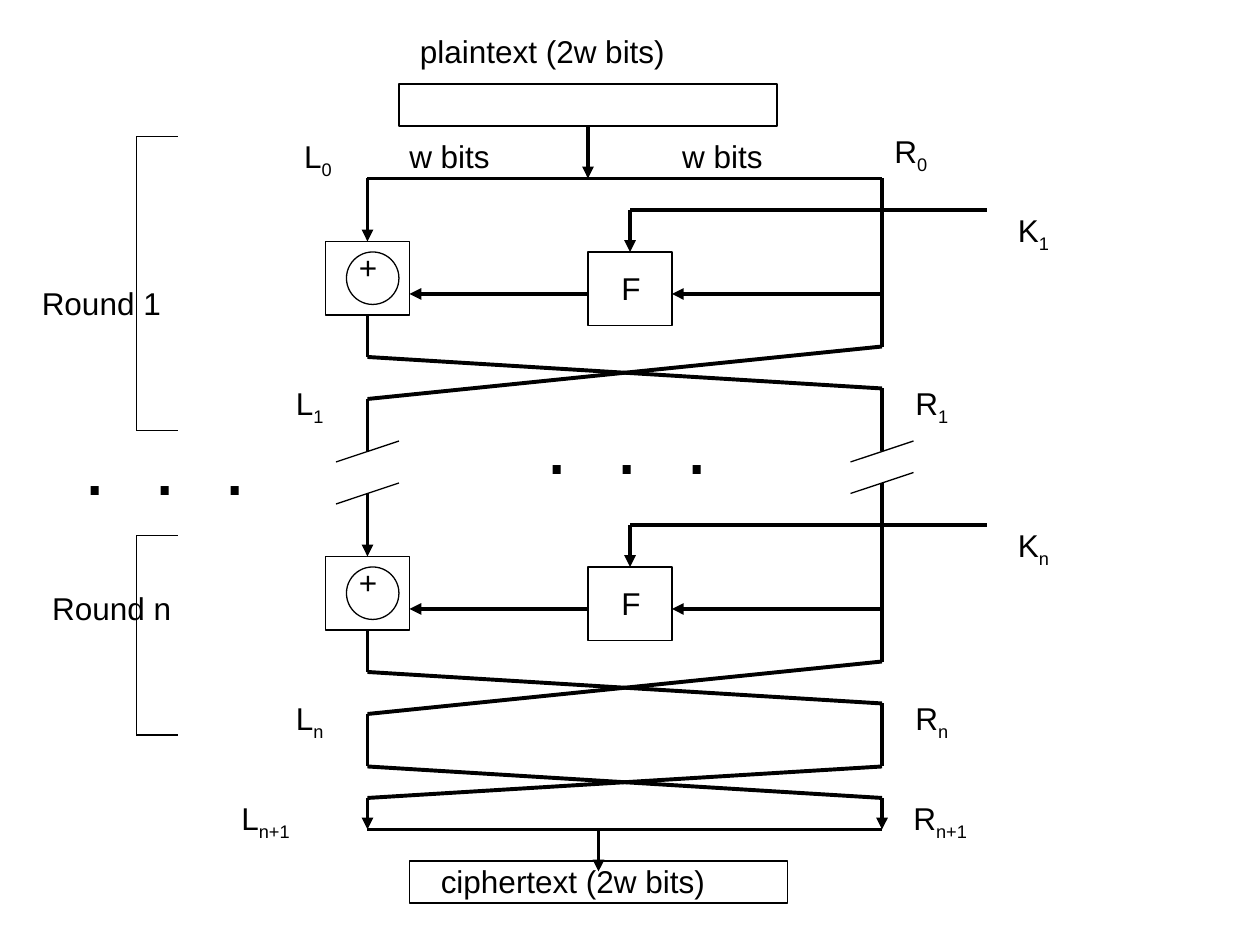
from typing import NamedTuple

from lxml import etree
from pptx import Presentation
from pptx import util as u
from pptx.dml.color import RGBColor
from pptx.enum import shapes, text
from pptx.oxml.ns import qn

CELL = 1 / 12            # grid: 120 columns by 90 rows
LEFT, RIGHT = 35, 84     # columns of the L and R halves
ROUND_STEP = 30          # rows from round 1 to round n
THIN, THICK = 0.75, 2.25
INK = "000000"


class Box(NamedTuple):
    col: float
    row: float
    cols: float
    rows: float
    kind: shapes.MSO_SHAPE = shapes.MSO_SHAPE.RECTANGLE


class Line(NamedTuple):
    x1: float
    y1: float
    x2: float
    y2: float
    arrow: bool = False
    width: float = THICK


class Label(NamedTuple):
    col: float
    row: float
    cols: float
    words: str
    sub: str = ""
    size: float = 18
    rows: float = 6


def cells(n: float) -> u.Emu:
    return u.Inches(n * CELL)


def color(hex_code: str) -> RGBColor:
    return RGBColor.from_string(hex_code)


def draw_box(s, b: Box) -> None:
    sp = s.shapes.add_shape(b.kind, *map(cells, b[:4]))
    sp.shadow.inherit = False
    sp.fill.background()
    sp.line.color.rgb = color(INK)
    sp.line.width = u.Pt(THIN)


def draw_line(s, ln: Line) -> None:
    cx = s.shapes.add_connector(shapes.MSO_CONNECTOR.STRAIGHT, *map(cells, ln[:4]))
    cx.line.color.rgb = color(INK)
    cx.line.width = u.Pt(ln.width)
    if ln.arrow:
        etree.SubElement(cx.line._get_or_add_ln(), qn("a:tailEnd"), type="triangle")
    etree.SubElement(cx._element.spPr, qn("a:effectLst"))


def draw_label(s, lb: Label) -> None:
    sp = s.shapes.add_textbox(*map(cells, (lb.col, lb.row, lb.cols, lb.rows)))
    tf = sp.text_frame
    tf.word_wrap = True
    tf.auto_size = text.MSO_AUTO_SIZE.NONE
    p = tf.paragraphs[0]
    p.font.name, p.font.size = "Arial", u.Pt(lb.size)
    p.font.color.rgb = color(INK)
    p.add_run().text = lb.words
    if lb.sub:
        r = p.add_run()
        r.text = lb.sub
        r.font._element.set("baseline", "-25000")


def draw_round(s, top: float, sub: str) -> None:
    """One Feistel round; top is the row where its left arrow starts."""
    draw_box(s, Box(31, top + 6, 8, 7))
    draw_box(s, Box(33, top + 7, 5, 5, shapes.MSO_SHAPE.OVAL))
    draw_box(s, Box(56, top + 7, 8, 7))
    for ln in (
        Line(LEFT, top, LEFT, top + 6, True),
        Line(RIGHT, top + 11, 64, top + 11, True),
        Line(56, top + 11, 39, top + 11, True),
        Line(LEFT, top + 13, LEFT, top + 17),
        # round key
        Line(60, top + 3, 60, top + 7, True),
        Line(60, top + 3, 94, top + 3),
        # swap of the halves
        Line(LEFT, top + 17, RIGHT, top + 20),
        Line(LEFT, top + 21, RIGHT, top + 16),
        Line(LEFT, top + 21, LEFT, top + 26),
        Line(RIGHT, top + 20, RIGHT, top + 26),
    ):
        draw_line(s, ln)
    for lb in (
        Label(58, top + 8, 4, "F"),
        Label(33, top + 6, 4.8, "+"),
        Label(95.75, top + 2.5, 6.6, "K", sub),
        Label(27, top + 19, 6.2, "L", sub),
        Label(86, top + 19, 6.8, "R", sub),
    ):
        draw_label(s, lb)


def draw_bracket(s, top: float, bottom: float) -> None:
    draw_line(s, Line(13, top, 13, bottom, width=THIN))
    for row in (top, bottom):
        draw_line(s, Line(13, row, 17, row, width=THIN))


def main() -> None:
    prs = Presentation()
    prs.slide_width, prs.slide_height = cells(120), cells(90)
    s = prs.slides.add_slide(prs.slide_layouts[6])

    # Plaintext and ciphertext blocks
    draw_box(s, Box(38, 8, 36, 4))
    draw_box(s, Box(39, 82, 36, 4))

    # Rounds and their brackets
    for i, sub in enumerate("1n"):
        draw_round(s, 17 + i * ROUND_STEP, sub)
    draw_bracket(s, 13, 41)
    draw_bracket(s, 51, 70)

    # Split, right trunk, last swap and join
    for ln in (
        Line(56, 12, 56, 17, True),
        Line(LEFT, 17, RIGHT, 17),
        Line(RIGHT, 17, RIGHT, 33),
        Line(RIGHT, 46, RIGHT, 63),
        Line(LEFT, 76, RIGHT, 73),
        Line(LEFT, 73, RIGHT, 76),
        Line(LEFT, 76, LEFT, 79, True),
        Line(RIGHT, 76, RIGHT, 79, True),
        Line(LEFT, 79, RIGHT, 79),
        Line(57, 79, 57, 83, True),
    ):
        draw_line(s, ln)

    # Break marks between the rounds
    for col, row in ((LEFT, 44), (LEFT, 48), (RIGHT, 44), (RIGHT, 47)):
        draw_line(s, Line(col - 3, row, col + 3, row - 2, width=THIN))

    # Labels
    for lb in (
        Label(38.8, 2.5, 33.6, "plaintext (2w bits)"),
        Label(37.8, 12.5, 10.8, "w bits", rows=4.8),
        Label(63.8, 12.5, 10.8, "w bits", rows=4.8),
        Label(27.8, 12.5, 6.2, "L", "0"),
        Label(84, 12, 7.2, "R", "0"),
        Label(2.8, 26.5, 17.5, "Round 1"),
        Label(3.8, 55.5, 17.5, "Round n"),
        Label(6.8, 38.6, 19, ".  .  .", size=48, rows=10.8),
        Label(50.8, 36.6, 19, ".  .  .", size=48, rows=10.8),
        Label(21.8, 75.5, 9.2, "L", "n+1"),
        Label(85.8, 75.5, 9.8, "R", "n+1"),
        Label(40.8, 81.5, 36, "ciphertext (2w bits)"),
    ):
        draw_label(s, lb)

    prs.save("out.pptx")


if __name__ == "__main__":
    main()
